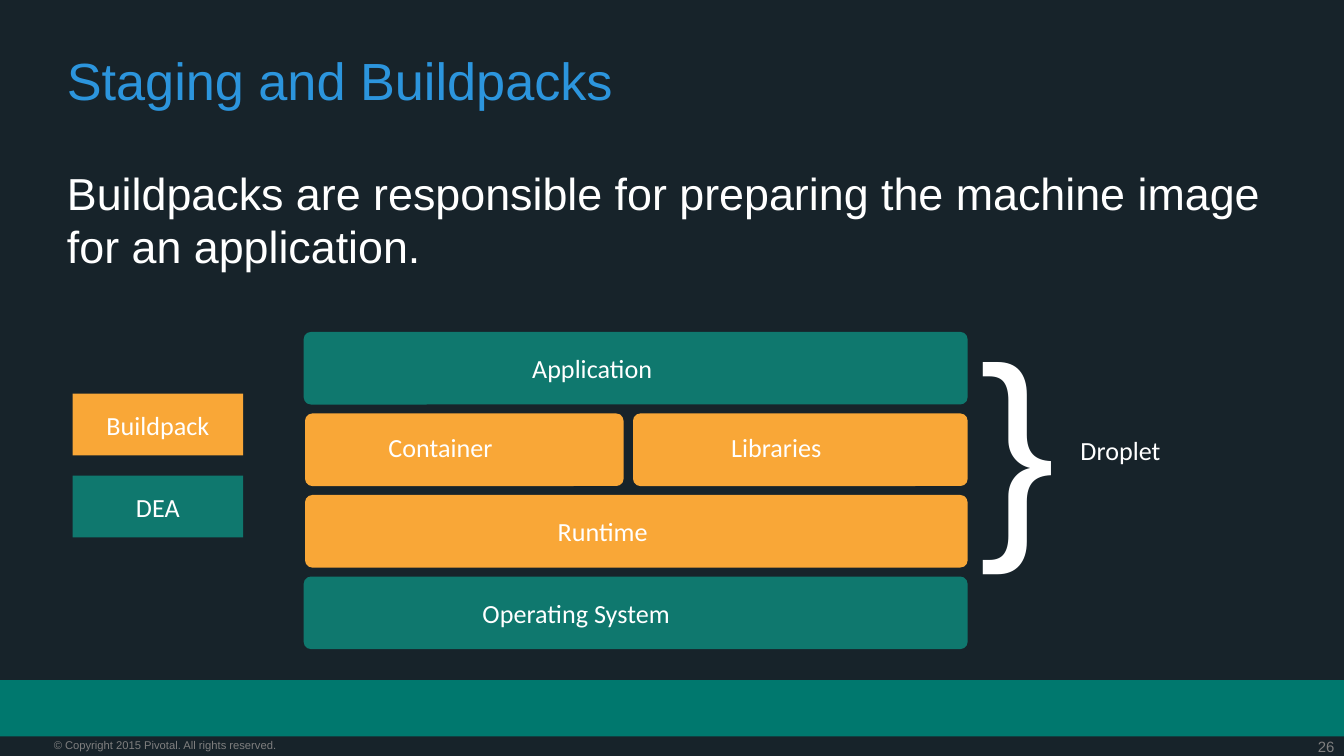
from dataclasses import dataclass

from pptx import Presentation
from pptx.dml.color import RGBColor
from pptx.enum.shapes import MSO_SHAPE as Kind
from pptx.enum.text import MSO_ANCHOR as Anchor, MSO_AUTO_SIZE as Fit, PP_ALIGN as Align
from pptx.shapes.autoshape import Shape
from pptx.util import Inches, Pt

NIGHT = RGBColor(0x17, 0x23, 0x2A)
BAND = RGBColor(0x00, 0x78, 0x6E)
TEAL = RGBColor(0x0F, 0x78, 0x6E)
AMBER = RGBColor(0xF9, 0xA7, 0x37)
BLUE = RGBColor(0x2C, 0x95, 0xDD)
GREY = RGBColor(0x7F, 0x7F, 0x7F)
WHITE = RGBColor(0xFF, 0xFF, 0xFF)

LABEL = dict(font="Calibri", anchor=Anchor.MIDDLE, inset=0.06, fit=Fit.SHAPE_TO_FIT_TEXT)
TOP, LAST, TALL = 2.47, 4.29, 0.54
STEP = (LAST - TOP) / 3
TAG_TALL = 0.46


@dataclass
class Layer:
    name: str
    row: int
    left: float
    right: float
    fill: RGBColor
    start: float
    span: float
    rise: float = 0
    solid: bool = False


@dataclass
class Tag:
    name: str
    top: float
    fill: RGBColor


LAYERS = [
    Layer("Container", 1, 2.27, 4.64, AMBER, 2.83, 1.25, rise=0.02, solid=True),
    Layer("Libraries", 1, 4.71, 7.2, AMBER, 5.38, 1.1, rise=0.02),
    Layer("Runtime", 2, 2.27, 7.2, AMBER, 4.09, 1.07),
    Layer("Operating System", 3, 2.26, 7.2, TEAL, 3.53, 2.18, solid=True),
    Layer("Application", 0, 2.26, 7.2, TEAL, 3.9, 1.44),
]
TAGS = [Tag("DEA", 3.54, TEAL), Tag("Buildpack", 2.93, AMBER)]

deck = Presentation()
deck.slide_width, deck.slide_height = Inches(10), Inches(10 * 9 / 16)
slide = deck.slides.add_slide(deck.slide_layouts[6])
slide.background.fill.solid()
slide.background.fill.fore_color.rgb = NIGHT


def write(shape: Shape, text: str, *, font: str = "Arial", size: float = 14,
          color: RGBColor = WHITE, align: Align = Align.LEFT,
          anchor: Anchor = Anchor.TOP, inset: float | None = None,
          wrap: bool = True, fit: Fit = Fit.NONE, line: float = 1.0) -> None:
    frame = shape.text_frame
    frame.word_wrap, frame.auto_size = wrap, fit
    frame.vertical_anchor = anchor
    if inset is not None:
        frame.margin_left = frame.margin_right = Inches(inset)
        frame.margin_top = frame.margin_bottom = Inches(inset)
    para = frame.paragraphs[0]
    para.text, para.alignment, para.line_spacing = text, align, line
    para.font.name, para.font.size = font, Pt(size)
    para.font.color.rgb = color


def block(kind: Kind, left: float, top: float, wide: float, tall: float,
          fill: RGBColor) -> Shape:
    shape = slide.shapes.add_shape(kind, Inches(left), Inches(top), Inches(wide), Inches(tall))
    shape.shadow.inherit = False
    shape.fill.solid()
    shape.fill.fore_color.rgb = fill
    shape.line.fill.background()
    return shape


def box(left: float, top: float, wide: float, tall: float) -> Shape:
    return slide.shapes.add_textbox(Inches(left), Inches(top), Inches(wide), Inches(tall))


def draw_layer(layer: Layer) -> None:
    top = TOP + layer.row * STEP
    bar = block(Kind.ROUNDED_RECTANGLE, layer.left, top, layer.right - layer.left, TALL, layer.fill)
    bar.adjustments[0] = 0.1
    place = layer.start, top + (TALL - TAG_TALL) / 2 - layer.rise, layer.span, TAG_TALL
    label = block(Kind.RECTANGLE, *place, layer.fill) if layer.solid else box(*place)
    write(label, layer.name, wrap=False, **LABEL)


def draw_tag(tag: Tag) -> None:
    shape = block(Kind.RECTANGLE, 0.54, tag.top, 1.27, TAG_TALL, tag.fill)
    write(shape, tag.name, align=Align.CENTER, **LABEL)


block(Kind.RECTANGLE, 0, 5.06, 10, 0.42, BAND)
write(box(9.35, 5.49, 0.58, 0.14), "26", size=8, color=GREY, align=Align.RIGHT, inset=0)
write(box(0.4, 5.49, 2.49, 0.1), "© Copyright 2015 Pivotal. All rights reserved.",
      size=6, color=GREY, inset=0)
write(box(0.4, 0.36, 9.2, 0.68), "Staging and Buildpacks", size=28, color=BLUE, line=0.9)
write(box(0.4, 1.18, 9.2, 3.75),
      "Buildpacks are responsible for preparing the machine image for an application.", size=24)
for layer in LAYERS:
    draw_layer(layer)
for tag in TAGS:
    draw_tag(tag)
write(box(7.23, 2.16, 0.68, 2.17), "}", wrap=False, align=Align.CENTER,
      **{**LABEL, "font": "Arial", "size": 122})
write(box(7.98, 3.17, 0.8, 0.35), "Droplet", wrap=False, **LABEL)

deck.save("out.pptx")
